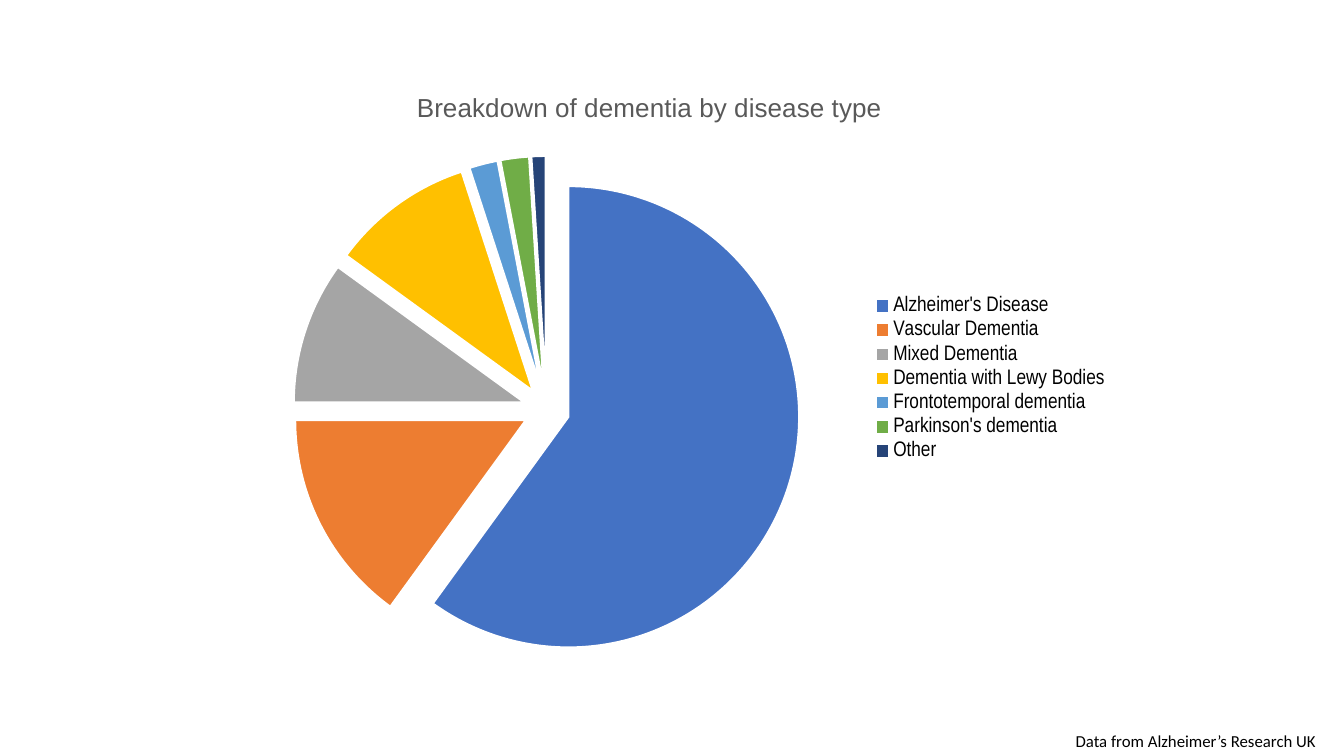
from dataclasses import dataclass

from lxml.etree import SubElement
from pptx import Presentation
from pptx.chart.data import CategoryChartData
from pptx.dml.color import RGBColor
from pptx.enum.chart import XL_CHART_TYPE as ChartType, XL_LEGEND_POSITION as LegendPosition
from pptx.enum.text import MSO_AUTO_SIZE as AutoSize
from pptx.oxml import parse_xml
from pptx.oxml.ns import nsdecls, qn
from pptx.util import Inches, Pt

COLORS = {
    "black": "000000",
    "title": "595959",
    "white": "FFFFFF",
    "blue": "4472C4",
    "orange": "ED7D31",
    "gray": "A5A5A5",
    "gold": "FFC000",
    "sky": "5B9BD5",
    "green": "70AD47",
    "navy": "264478",
}


@dataclass(frozen=True)
class Disease:
    name: str
    share: int
    color: str


DISEASES = [
    Disease("Alzheimer's Disease", 60, "blue"),
    Disease("Vascular Dementia", 15, "orange"),
    Disease("Mixed Dementia", 10, "gray"),
    Disease("Dementia with Lewy Bodies", 10, "gold"),
    Disease("Frontotemporal dementia", 2, "sky"),
    Disease("Parkinson's dementia", 2, "green"),
    Disease("Other", 1, "navy"),
]


def rgb(name: str) -> RGBColor:
    return RGBColor.from_string(COLORS[name])


def style_font(font, face: str, size: float, color: str) -> None:
    font.name = face
    font.size = Pt(size)
    font.bold = False
    font.color.rgb = rgb(color)


def add_title(chart, wording: str, x: float, y: float) -> None:
    chart.has_title = True
    heading = chart.chart_title.text_frame.paragraphs[0].add_run()
    heading.text = wording
    style_font(heading.font, "Arial", 18.6, "title")
    title = chart.chart_title._element
    for old in title.findall(qn("c:layout")):
        title.remove(old)
    layout = parse_xml(f"<c:layout {nsdecls('c')}><c:manualLayout/></c:layout>")
    placement = layout[0]
    for tag, value in (("xMode", "edge"), ("yMode", "edge"), ("x", x), ("y", y)):
        SubElement(placement, qn(f"c:{tag}"), val=str(value))
    title.find(qn("c:tx")).addnext(layout)
    chart.chart_title.include_in_layout = False


def add_breakdown(slide, diseases: list[Disease]) -> None:
    shares = CategoryChartData()
    shares.categories = [disease.name for disease in diseases]
    shares.add_series("Series 1", [disease.share for disease in diseases])
    chart = slide.shapes.add_chart(
        ChartType.PIE_EXPLODED, Inches(2.22), Inches(0.79), Inches(8.89), Inches(5.93), shares
    ).chart
    style_font(chart.font, "Calibri", 10, "black")
    add_title(chart, "Breakdown of dementia by disease type", 0.21, 0.01)

    chart.has_legend = True
    chart.legend.position = LegendPosition.RIGHT
    chart.legend.include_in_layout = False
    style_font(chart.legend.font, "Arial Narrow", 15, "black")

    pie = chart.plots[0]
    pie.vary_by_categories = True
    series = pie.series[0]
    series._element.find(qn("c:explosion")).set("val", "10")
    for index, disease in enumerate(diseases):
        wedge = series.points[index].format
        wedge.fill.solid()
        wedge.fill.fore_color.rgb = rgb(disease.color)
        wedge.line.color.rgb = rgb("white")
        wedge.line.width = Pt(1.5)


def add_credit(slide, wording: str) -> None:
    credit = slide.shapes.add_textbox(
        Inches(10.57), Inches(7.2), Inches(3.87), Inches(0.3)
    ).text_frame
    credit.word_wrap = True
    credit.auto_size = AutoSize.SHAPE_TO_FIT_TEXT
    source = credit.paragraphs[0].add_run()
    source.text = wording
    style_font(source.font, "Calibri", 12, "black")


def main() -> None:
    deck = Presentation()
    deck.slide_width = Inches(13.33)
    deck.slide_height = Inches(7.5)
    slide = deck.slides.add_slide(deck.slide_layouts[6])
    add_breakdown(slide, DISEASES)
    add_credit(slide, "Data from Alzheimer’s Research UK")
    deck.save("out.pptx")


if __name__ == "__main__":
    main()
